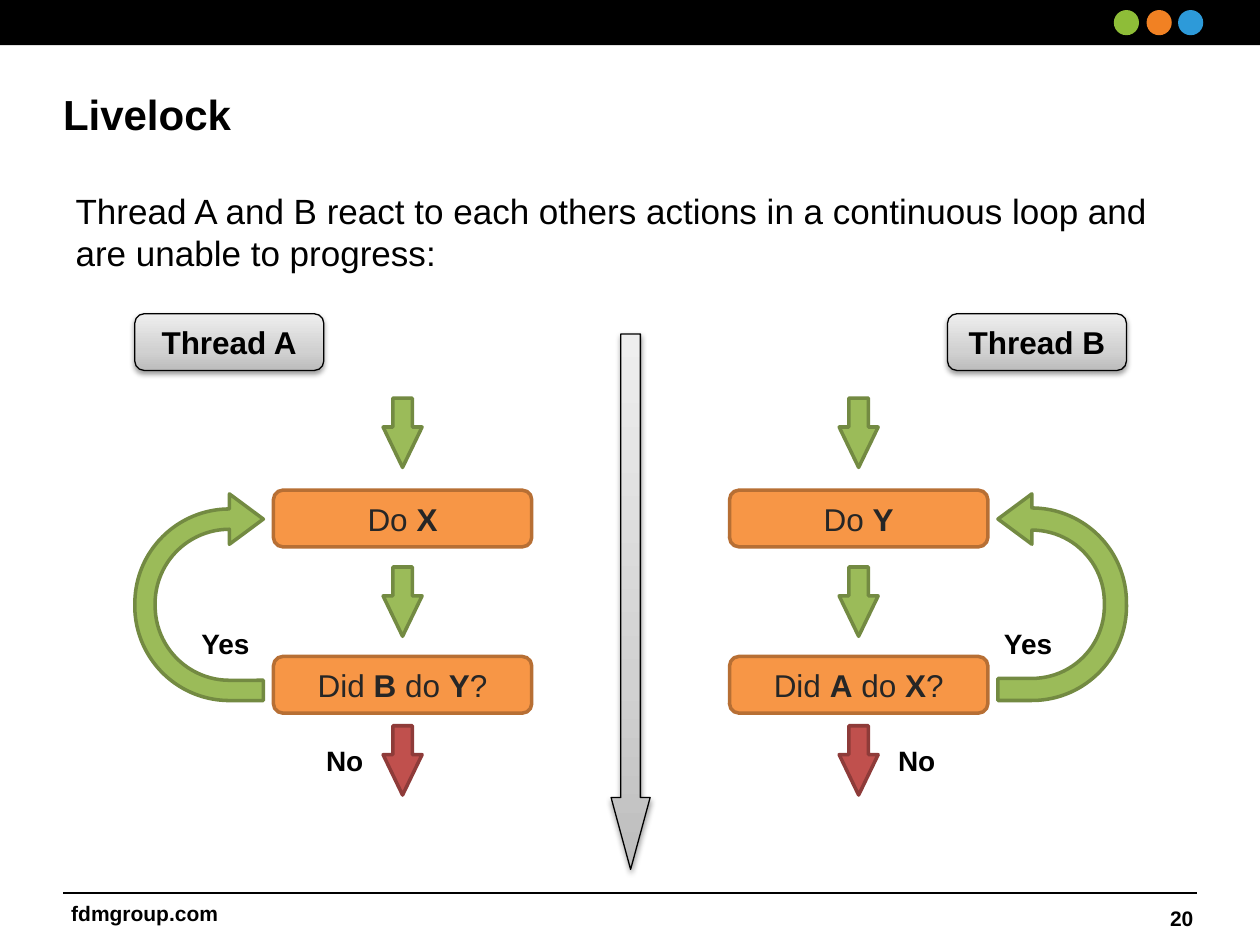
from lxml.etree import SubElement
from pptx import Presentation
from pptx.dml.color import RGBColor
from pptx.enum.shapes import MSO_CONNECTOR as Connector, MSO_SHAPE as Shape
from pptx.enum.text import MSO_ANCHOR as Anchor, PP_ALIGN as Align
from pptx.oxml.ns import qn
from pptx.util import Pt

PX = 9144
FONT = "Arial"
BLACK = RGBColor(0x00, 0x00, 0x00)
DARK = RGBColor(0x26, 0x26, 0x26)
LIME = RGBColor(0x8E, 0xBD, 0x38)
TANGERINE = RGBColor(0xF1, 0x81, 0x23)
SKY = RGBColor(0x2D, 0x9A, 0xD9)
GREEN, GREEN_EDGE = RGBColor(0x9B, 0xBB, 0x59), RGBColor(0x73, 0x8A, 0x42)
ORANGE, ORANGE_EDGE = RGBColor(0xF7, 0x96, 0x46), RGBColor(0xB7, 0x6F, 0x34)
RED, RED_EDGE = RGBColor(0xC0, 0x50, 0x4D), RGBColor(0x8E, 0x3B, 0x39)
GREYS = ((0, RGBColor(0xBD, 0xBD, 0xBD)), (35, RGBColor(0xD1, 0xD1, 0xD1)),
         (100, RGBColor(0xEE, 0xEE, 0xEE)))


def emu(*lengths):
    """Turn px lengths into EMU."""
    return [n * PX for n in lengths]


def place(sp, x, y, w, h):
    """Move and size a shape in px."""
    sp.left, sp.top, sp.width, sp.height = emu(x, y, w, h)


def style(p, size, color=BLACK, bold=None, align=Align.LEFT):
    """Format every run of a paragraph."""
    p.alignment = align
    for r in p.runs:
        r.font.size, r.font.name = Pt(size), FONT
        r.font.color.rgb = color
        if bold is not None:
            r.font.bold = bold


def add_shape(s, kind, box, fill, edge=None, adj=()):
    """Add a flat preset shape with an optional 2 pt edge."""
    sp = s.shapes.add_shape(kind, *emu(*box))
    sp.shadow.inherit = False
    sp.fill.solid()
    sp.fill.fore_color.rgb = fill
    if edge is None:
        sp.line.fill.background()
    else:
        sp.line.color.rgb, sp.line.width = edge, Pt(2)
    for i, value in enumerate(adj):
        sp.adjustments[i] = value
    return sp


def add_grey(s, kind, box, adj=()):
    """Add a shape with a grey gradient, thin edge and soft shadow."""
    sp = add_shape(s, kind, box, BLACK, BLACK, adj)
    sp.line.width = Pt(0.75)
    sp.fill.gradient()
    sp.fill.gradient_angle = 90
    stops = sp.element.spPr.find(".//" + qn("a:gsLst"))
    for stop in list(stops):
        stops.remove(stop)
    for pos, color in GREYS:
        stop = SubElement(stops, qn("a:gs"), pos=str(pos * 1000))
        SubElement(stop, qn("a:srgbClr"), val=str(color))
    effects = sp.element.spPr.find(qn("a:effectLst"))
    shadow = SubElement(effects, qn("a:outerShdw"), blurRad="40000", dist="20000",
                        dir="5400000", rotWithShape="0")
    color = SubElement(shadow, qn("a:srgbClr"), val=str(BLACK))
    SubElement(color, qn("a:alpha"), val="38000")
    return sp


def write_centred(sp, text, color, bold=False):
    """Centre 18 pt text in a shape, with bold between asterisks."""
    tf = sp.text_frame
    tf.word_wrap, tf.vertical_anchor = True, Anchor.MIDDLE
    p = tf.paragraphs[0]
    for i, part in enumerate(text.split("*")):
        if part:
            r = p.add_run()
            r.text, r.font.bold = part, bold or i % 2 == 1
    style(p, 18, color, align=Align.CENTER)


def add_label(s, box, text, size, align=Align.LEFT, anchor=Anchor.TOP, wrap=True):
    """Add a bold text box."""
    tf = s.shapes.add_textbox(*emu(*box)).text_frame
    tf.word_wrap, tf.vertical_anchor = wrap, anchor
    tf.text = text
    style(tf.paragraphs[0], size, bold=True, align=align)


def add_frame(s, w, h):
    """Draw the top bar with its dots and the footer."""
    add_shape(s, Shape.RECTANGLE, (0, 0, w, 36), BLACK)
    for i, color in enumerate((LIME, TANGERINE, SKY)):
        add_shape(s, Shape.OVAL, (w - 116 + round(25.5 * i), 8, 20, 20), color)
    rule = s.shapes.add_connector(Connector.STRAIGHT, *emu(50, h - 41, w - 50, h - 41))
    rule.line.color.rgb, rule.line.width = BLACK, Pt(1)
    SubElement(rule.element.spPr, qn("a:effectLst"))
    add_label(s, (44, h - 40, 139, 30), "fdmgroup.com", 12, Align.RIGHT, Anchor.MIDDLE, False)
    add_label(s, (w - 276, h - 41, 233, 40), "20", 12, Align.RIGHT, Anchor.MIDDLE)


def add_texts(s, title, body):
    """Fill the title and body placeholders."""
    sp = s.shapes.title
    place(sp, 50, 70, 900, 45)
    tf = sp.text_frame
    tf.margin_left = tf.margin_right = tf.margin_top = 0
    tf.margin_bottom = 5 * PX
    tf.vertical_anchor = Anchor.BOTTOM
    tf.text = title
    style(tf.paragraphs[0], 24, bold=True)
    sp = s.placeholders[1]
    place(sp, 50, 145, 900, 529)
    sp.text_frame.text = body
    p = sp.text_frame.paragraphs[0]
    p.space_before = Pt(0)
    pPr = p._p.get_or_add_pPr()
    pPr.set("marL", "0")
    pPr.set("indent", "0")
    SubElement(pPr, qn("a:buNone"))
    style(p, 20)


def add_thread(s, x, y, w, name, steps, header, loop_x, yes_x, no_x, bar, mirrored):
    """Draw one thread's flow; x offsets are relative to its column of steps."""
    header_x, header_w = header
    sp = add_grey(s, Shape.ROUNDED_RECTANGLE, (x + header_x, y, header_w, 45))
    write_centred(sp, name, BLACK, True)
    for dy, text in zip((140, 272), steps):
        sp = add_shape(s, Shape.ROUNDED_RECTANGLE, (x, y + dy, w, 45), ORANGE, ORANGE_EDGE)
        write_centred(sp, text, DARK)
    for dy, fill, edge in ((67, GREEN, GREEN_EDGE), (201, GREEN, GREEN_EDGE),
                           (327, RED, RED_EDGE)):
        add_shape(s, Shape.DOWN_ARROW, (x + (w - 31) // 2, y + dy, 31, 55), fill, edge,
                  (0.5, 1.035))
    loop = add_shape(s, Shape.U_TURN_ARROW, (x + loop_x, y + 174, 164, 102), GREEN,
                     GREEN_EDGE, (bar, 0.196, 0.264, 0.736, 1))
    loop.rotation = 270
    if mirrored:
        loop.element.spPr.get_or_add_xfrm().set("flipV", "1")
    add_label(s, (x + yes_x, y + 243, 63, 37), "Yes", 16)
    add_label(s, (x + no_x, y + 336, 63, 37), "No", 16)


def main():
    """Build and save the slide."""
    prs = Presentation()
    prs.slide_width, prs.slide_height = emu(1000, 750)
    s = prs.slides.add_slide(prs.slide_layouts[1])
    add_frame(s, 1000, 750)
    add_texts(s, "Livelock", "Thread A and B react to each others actions in a "
              "continuous loop and are unable to progress:")
    add_grey(s, Shape.DOWN_ARROW, (485, 265, 31, 425), (0.5, 1.839))
    add_thread(s, 217, 249, 205, "Thread A", ("Do *X*", "Did *B *do *Y*?"),
               (-110, 150), -141, -67, 32, 0.158, False)
    add_thread(s, 579, 249, 205, "Thread B", ("Do *Y*", "Did *A* do *X*?"),
               (173, 142), 182, 208, 124, 0.172, True)
    prs.save("out.pptx")


if __name__ == "__main__":
    main()
